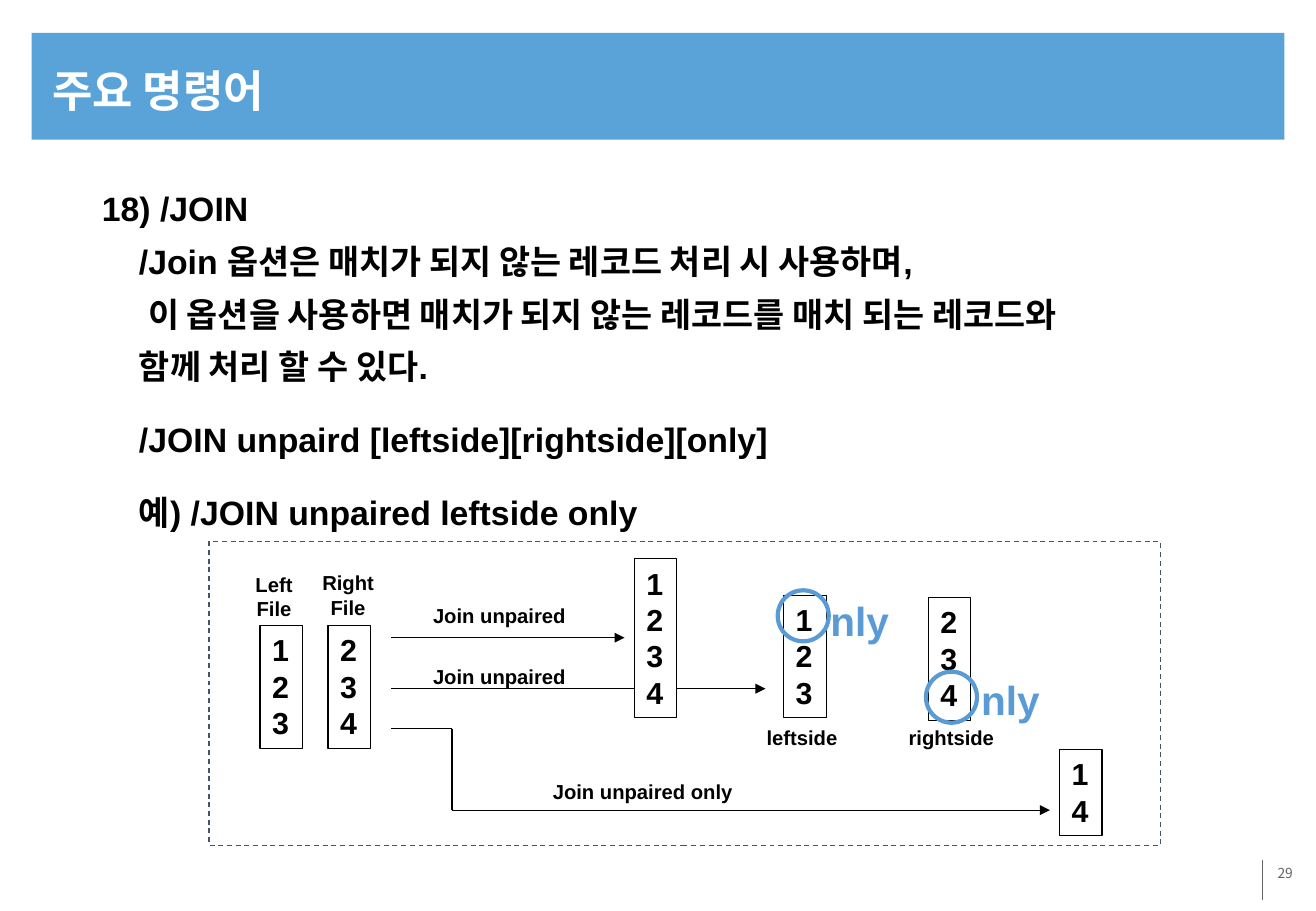
from dataclasses import dataclass
from itertools import pairwise

import pptx
import pptx.dml.color
import pptx.enum.dml
import pptx.enum.shapes
import pptx.enum.text
import pptx.oxml.ns
import pptx.shapes.base
import pptx.slide
import pptx.text.text
import pptx.util
from lxml import etree

CELL = 0.1  # inches per grid column and row
SLIDE_COLS, SLIDE_ROWS = 108.3, 75
STACK_COLS, STACK_PAD, RECORD_ROWS = 3.5, 1.1, 3
CIRCLE_COLS = 4.2

ALIGN = pptx.enum.text.PP_ALIGN
ANCHOR = pptx.enum.text.MSO_ANCHOR
SHAPE = pptx.enum.shapes.MSO_SHAPE


@dataclass(frozen=True)
class Theme:
    banner: str = "5AA3D9"
    accent: str = "5B9BD5"
    ink: str = "000000"
    paper: str = "FFFFFF"
    frame: str = "44546A"
    footer: str = "636467"
    latin: str = "Arial"
    title_font: str = "Calibri"
    footer_font: str = "Noto Sans CJK KR"
    title: float = 26
    only: float = 24
    body: float = 20
    record: float = 18
    label: float = 12
    page: float = 8.2
    thin: float = 0.75
    thick: float = 2.5


THEME = Theme()


@dataclass(frozen=True)
class Box:
    col: float
    row: float
    cols: float
    rows: float


@dataclass(frozen=True)
class Stack:
    col: float
    row: float
    records: str


@dataclass(frozen=True)
class Label:
    text: str
    box: Box
    size: float = THEME.label
    color: str = THEME.ink


@dataclass(frozen=True)
class BodyLine:
    text: str
    indent: float = 3.05
    space_before: float = 0


BODY = [
    BodyLine("18) /JOIN", 0),
    BodyLine("/Join 옵션은 매치가 되지 않는 레코드 처리 시 사용하며,"),
    BodyLine("이 옵션을 사용하면 매치가 되지 않는 레코드를 매치 되는 레코드와", 3.8),
    BodyLine("함께 처리 할 수 있다."),
    BodyLine("/JOIN unpaird [leftside][rightside][only]", space_before=12),
    BodyLine("예) /JOIN unpaired leftside only", space_before=12),
]
ROUTES = [
    [(32.2, 52.5), (51.4, 52.5)],
    [(32.2, 56.7), (63, 56.7)],
    [(32.2, 60), (37.2, 60), (37.2, 66.7), (86.4, 66.7)],
]
STACKS = [
    Stack(21.4, 51.5, "123"),
    Stack(27, 51.5, "234"),
    Stack(52.2, 46, "1234"),
    Stack(64.5, 49, "123"),
    Stack(76.4, 49.2, "234"),
    Stack(87.2, 61.7, "14"),
]
LABELS = [
    Label("Left\vFile", Box(20, 46.6, 5.1, 5)),
    Label("Right\vFile", Box(25.5, 46.5, 6.3, 5)),
    Label("Join unpaired", Box(34.6, 49.2, 13, 3)),
    Label("Join unpaired", Box(34.6, 54.2, 13, 3)),
    Label("leftside", Box(61.6, 59.2, 8.8, 3)),
    Label("rightside", Box(73.3, 59.2, 10, 3)),
    Label("Join unpaired only", Box(44, 63.7, 17.8, 3)),
    Label("nly", Box(67.3, 48.6, 6.9, 5.1), THEME.only, THEME.accent),
    Label("nly", Box(79.7, 55.1, 6.9, 5.1), THEME.only, THEME.accent),
]
CIRCLES = [(64, 48.6), (76.2, 55.3)]


def grid(cells: float) -> pptx.util.Length:
    return pptx.util.Inches(cells * CELL)


def place(box: Box) -> tuple[pptx.util.Length, ...]:
    return grid(box.col), grid(box.row), grid(box.cols), grid(box.rows)


def rgb(color: str) -> pptx.dml.color.RGBColor:
    return pptx.dml.color.RGBColor.from_string(color)


def style(paragraph: pptx.text.text._Paragraph, size: float, color: str = THEME.ink,
          font: str = THEME.latin, bold: bool = True, align: ALIGN = ALIGN.LEFT) -> None:
    paragraph.alignment = align
    for run in paragraph.runs:
        run.font.size, run.font.name, run.font.bold = pptx.util.Pt(size), font, bold
        run.font.color.rgb = rgb(color)


def add_outline(slide: pptx.slide.Slide, kind: SHAPE, box: Box, fill: str | None = None,
                line: str | None = None,
                width: float = THEME.thin) -> pptx.shapes.base.BaseShape:
    outline = slide.shapes.add_shape(kind, *place(box))
    outline.shadow.inherit = False
    if fill:
        outline.fill.solid()
        outline.fill.fore_color.rgb = rgb(fill)
    else:
        outline.fill.background()
    if line:
        outline.line.color.rgb = rgb(line)
        outline.line.width = pptx.util.Pt(width)
    else:
        outline.line.fill.background()
    return outline


def add_route(slide: pptx.slide.Slide, points: list[tuple[float, float]],
              color: str = THEME.ink, arrow: bool = True) -> None:
    for start, end in pairwise(points):
        leg = slide.shapes.add_connector(pptx.enum.shapes.MSO_CONNECTOR.STRAIGHT,
                                         *map(grid, start + end))
        leg.line.color.rgb = rgb(color)
        leg.line.width = pptx.util.Pt(THEME.thin)
        if arrow and end == points[-1]:
            etree.SubElement(leg.line._get_or_add_ln(), pptx.oxml.ns.qn("a:tailEnd"),
                             type="triangle")
        etree.SubElement(leg._element.spPr, pptx.oxml.ns.qn("a:effectLst"))


def add_stack(slide: pptx.slide.Slide, stack: Stack) -> None:
    rows = len(stack.records) * RECORD_ROWS + STACK_PAD
    column = add_outline(slide, SHAPE.RECTANGLE, Box(stack.col, stack.row, STACK_COLS, rows),
                         THEME.paper, THEME.ink)
    frame = column.text_frame
    frame.word_wrap, frame.vertical_anchor = False, ANCHOR.TOP
    frame.text = "\n".join(stack.records)
    for record in frame.paragraphs:
        style(record, THEME.record)


def add_label(slide: pptx.slide.Slide, label: Label) -> None:
    frame = slide.shapes.add_textbox(*place(label.box)).text_frame
    frame.word_wrap = False
    frame.auto_size = pptx.enum.text.MSO_AUTO_SIZE.SHAPE_TO_FIT_TEXT
    frame.text = label.text
    style(frame.paragraphs[0], label.size, label.color, align=ALIGN.CENTER)


def add_title(slide: pptx.slide.Slide) -> None:
    banner = add_outline(slide, SHAPE.RECTANGLE, Box(2.6, 2.7, 103.1, 8.8), THEME.banner)
    title = slide.shapes.title
    title._element.addprevious(banner._element)
    title.left, title.top, title.width, title.height = place(Box(3.3, 3.7, 102, 7.9))
    title.text_frame.text = "주요 명령어"
    title.text_frame.vertical_anchor = ANCHOR.MIDDLE
    heading = title.text_frame.paragraphs[0]
    heading.line_spacing = 0.9
    style(heading, THEME.title, THEME.paper, THEME.title_font)


def add_body(slide: pptx.slide.Slide) -> None:
    frame = slide.shapes.add_textbox(*place(Box(7.4, 14, 94.8, 30.6))).text_frame
    frame.word_wrap = True
    frame.text = "\n".join(line.text for line in BODY)
    for paragraph, line in zip(frame.paragraphs, BODY):
        paragraph._p.get_or_add_pPr().set("marL", str(grid(line.indent)))
        paragraph.line_spacing = 1.3
        if line.space_before:
            paragraph.space_before = pptx.util.Pt(line.space_before)
        style(paragraph, THEME.body)


def add_footer(slide: pptx.slide.Slide) -> None:
    add_route(slide, [(103.9, 70.8), (103.9, 74.1)], THEME.footer, arrow=False)
    frame = slide.shapes.add_textbox(*place(Box(88.8, 70.8, 18.3, 5))).text_frame
    frame.word_wrap = True
    frame.margin_left = frame.margin_right = grid(0.7)
    frame.margin_top = frame.margin_bottom = grid(0.4)
    frame.text = "29"
    style(frame.paragraphs[0], THEME.page, THEME.footer, THEME.footer_font, False, ALIGN.RIGHT)


def main() -> None:
    deck = pptx.Presentation()
    deck.slide_width, deck.slide_height = grid(SLIDE_COLS), grid(SLIDE_ROWS)
    slide = deck.slides.add_slide(deck.slide_layouts[5])
    add_title(slide)
    add_body(slide)
    add_footer(slide)

    # Join diagram, from back to front
    frame = add_outline(slide, SHAPE.RECTANGLE, Box(17.2, 44.6, 78.3, 25), line=THEME.frame)
    frame.line.dash_style = pptx.enum.dml.MSO_LINE.DASH
    for route in ROUTES:
        add_route(slide, route)
    for stack in STACKS:
        add_stack(slide, stack)
    for col, row in CIRCLES:
        add_outline(slide, SHAPE.OVAL, Box(col, row, CIRCLE_COLS, CIRCLE_COLS),
                    line=THEME.accent, width=THEME.thick)
    for label in LABELS:
        add_label(slide, label)

    deck.save("out.pptx")


if __name__ == "__main__":
    main()
